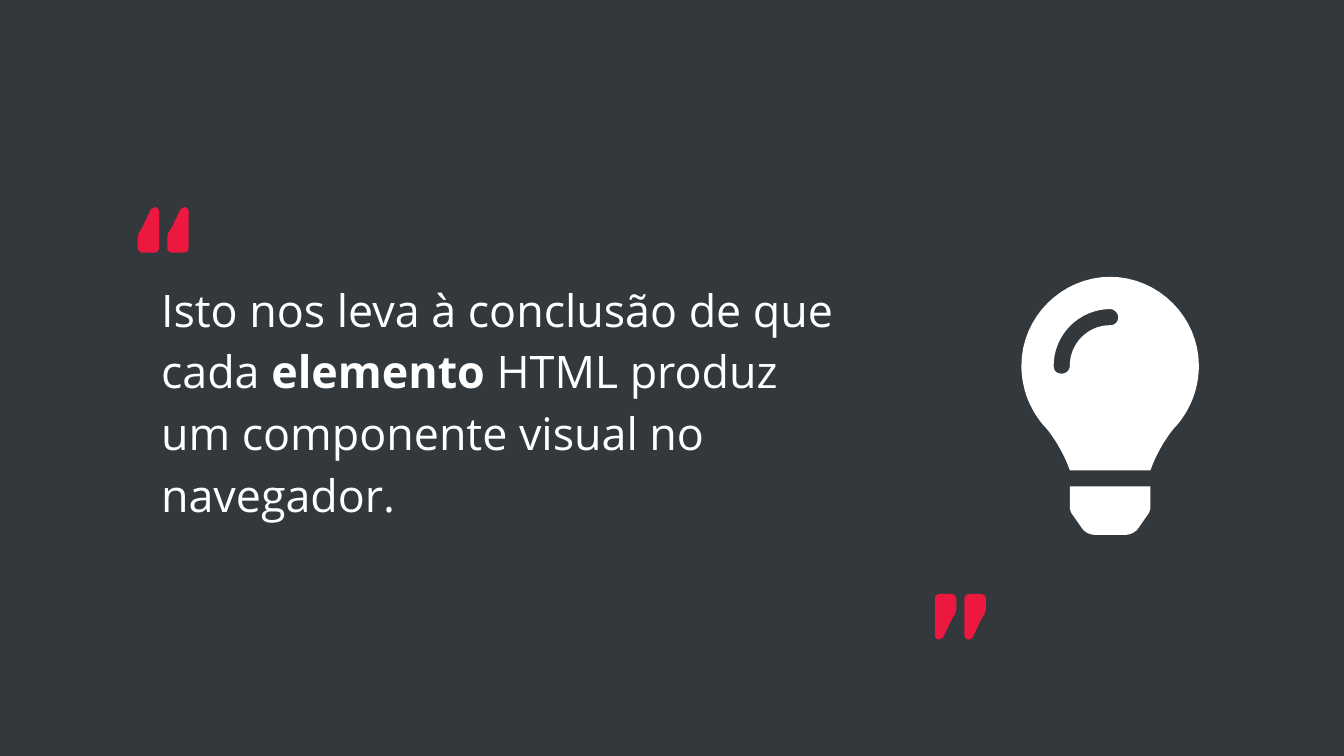
from pptx import Presentation
from pptx.dml.color import RGBColor as Rgb
from pptx.enum.text import MSO_ANCHOR as Anchor
from pptx.util import Inches, Pt

COLS, ROWS = 100, 56.25
COLORS = {"background": "33383C", "text": "FFFFFF", "bulb": "FFFFFF", "quote": "EC183F"}

STATEMENT = [
    [("Isto nos leva à conclusão de que", False)],
    [("cada ", False), ("elemento ", True), ("HTML produz", False)],
    [("um componente visual no", False)],
    [("navegador.", False)],
]

QUOTE_MARK = [
    (1.3, 0), (1.1, 0.1), (1, 0.15), (0.3, 1.6), (0.1, 1.9),
    (0, 2.2), (0, 3.1), (0.1, 3.3), (0.3, 3.4), (1.3, 3.4),
    (1.5, 3.3), (1.6, 3.1), (1.6, 0.3), (1.5, 0.1),
]

HALF_GLASS = [
    [(0, 20.6)],
    [(3.6, 20.6), (6.6, 23.6), (6.6, 27.2)],
    [(6.6, 28.9), (6, 30.4), (5, 31.6)],
    [(4.3, 32.3), (3.4, 33.8), (3, 35)],
]
HALF_BASE = [
    [(3, 36.2)],
    [(3, 37.7)],
    [(3, 37.9), (2.9, 38.2), (2.8, 38.3)],
    [(2.1, 39.3)],
    [(1.9, 39.6), (1.5, 39.8), (1.1, 39.8)],
]
GLINT = [
    [(0, 24.2)],
    [(-1.7, 24.2), (-3, 25.6), (-3, 27.2)],
    [(-3, 27.6), (-3.3, 27.8), (-3.6, 27.8)],
    [(-4, 27.8), (-4.2, 27.6), (-4.2, 27.2)],
    [(-4.2, 24.9), (-2.3, 23), (0, 23)],
    [(0.3, 23), (0.6, 23.3), (0.6, 23.6)],
    [(0.6, 24), (0.3, 24.2), (0, 24.2)],
]


def trace(segments, steps=16):
    points = []
    for segment in segments:
        if len(segment) == 1:
            points += segment
            continue
        controls = [points[-1], *segment]
        for step in range(1, steps + 1):
            t = step / steps
            weights = ((1 - t) ** 3, 3 * t * (1 - t) ** 2, 3 * t**2 * (1 - t), t**3)
            points.append(tuple(
                sum(w * p[axis] for w, p in zip(weights, controls)) for axis in (0, 1)
            ))
    return points


def mirrored(half):
    return half + [(-x, y) for x, y in reversed(half)]


class QuoteSlide:
    font = "Open Sans"
    size = Pt(24)
    spacing = 1.15

    def __init__(self, deck):
        self.slide = deck.slides.add_slide(deck.slide_layouts[6])
        self.cell_width = deck.slide_width / COLS
        self.cell_height = deck.slide_height / ROWS
        self.paint(self.slide.background.fill, "background")

    def paint(self, fill, color):
        fill.solid()
        fill.fore_color.rgb = Rgb.from_string(COLORS[color])

    def place(self, col, row):
        return round(col * self.cell_width), round(row * self.cell_height)

    def text(self, col, row, cols, rows, lines):
        box = self.slide.shapes.add_textbox(*self.place(col, row), *self.place(cols, rows))
        frame = box.text_frame
        frame.word_wrap = True
        frame.vertical_anchor = Anchor.MIDDLE
        frame.margin_bottom = Inches(0.51)
        for index, line in enumerate(lines):
            paragraph = frame.add_paragraph() if index else frame.paragraphs[0]
            paragraph.line_spacing = self.spacing
            paragraph.font.name = self.font
            paragraph.font.size = self.size
            paragraph.font.color.rgb = Rgb.from_string(COLORS["text"])
            for words, bold in line:
                run = paragraph.add_run()
                run.text = words
                if bold:
                    run.font.bold = True

    def outline(self, col, row, contours, color, rotation=0):
        placed = [[self.place(col + x, row + y) for x, y in contour] for contour in contours]
        builder = self.slide.shapes.build_freeform(*placed[0][0])
        for index, contour in enumerate(placed):
            if index:
                builder.move_to(*contour[0])
            builder.add_line_segments(contour[1:], close=True)
        shape = builder.convert_to_shape()
        shape.shadow.inherit = False
        shape.line.fill.background()
        self.paint(shape.fill, color)
        shape.rotation = rotation

    def quote_pair(self, col, row, rotation=0):
        for offset in (0, 2.2):
            self.outline(col + offset, row, [QUOTE_MARK], "quote", rotation)


def main():
    deck = Presentation()
    deck.slide_width, deck.slide_height = Inches(10), Inches(5.625)
    page = QuoteSlide(deck)
    page.text(11, 20.8, 60.5, 22.2, STATEMENT)
    bulb = [mirrored(trace(HALF_BASE)), mirrored(trace(HALF_GLASS)), trace(GLINT)]
    page.outline(82.6, 0, bulb, "bulb")
    page.quote_pair(10.25, 15.4)
    page.quote_pair(69.55, 44.2, rotation=180)
    deck.save("out.pptx")


if __name__ == "__main__":
    main()
